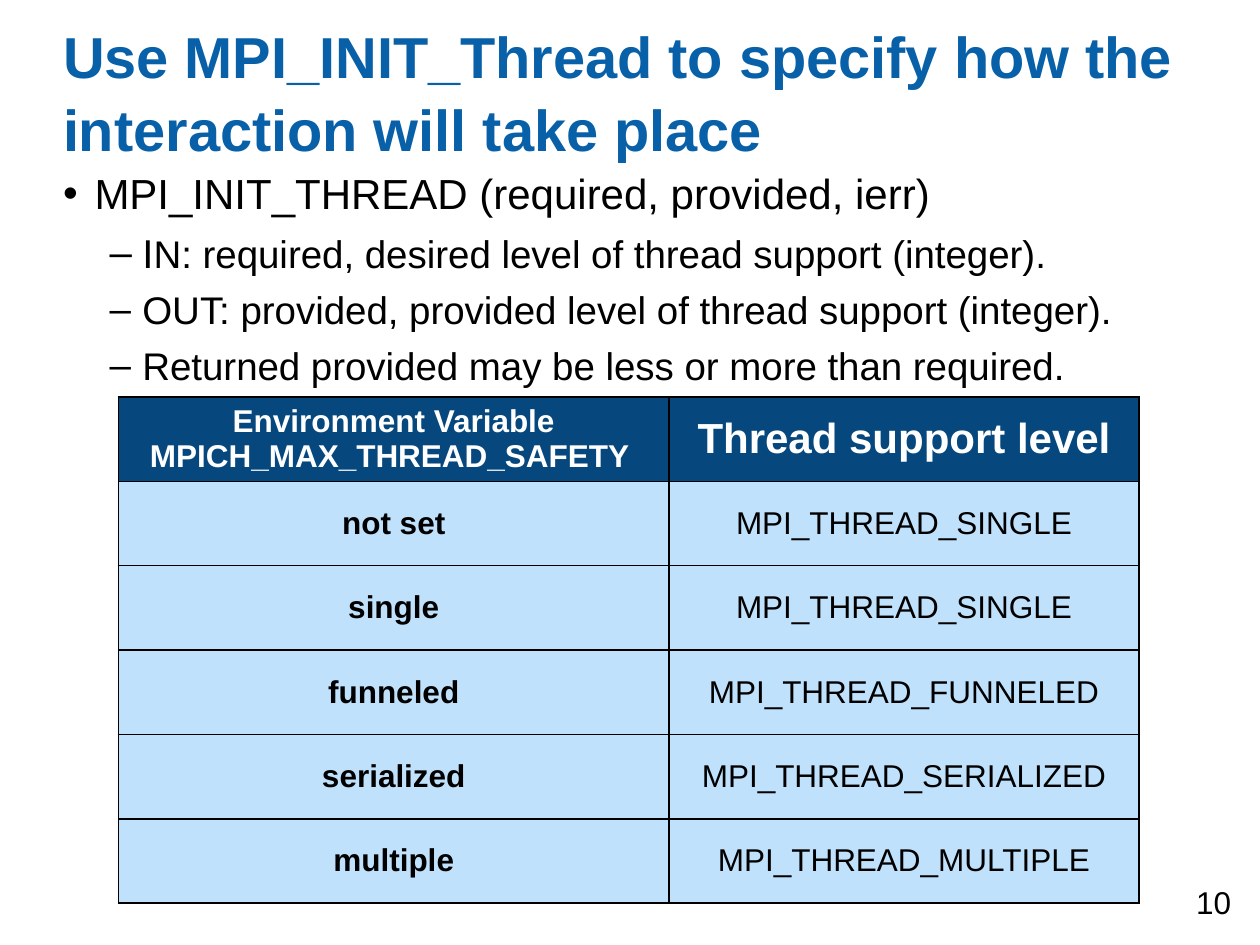
from dataclasses import dataclass

import pptx
import pptx.dml.color
import pptx.enum.text
import pptx.oxml
import pptx.oxml.ns
import pptx.util
from pptx.dml.color import RGBColor
from pptx.enum.text import MSO_ANCHOR, MSO_AUTO_SIZE, PP_ALIGN
from pptx.util import Inches

FONT = "Arial"
BLACK = RGBColor(0x00, 0x00, 0x00)
WHITE = RGBColor(0xFF, 0xFF, 0xFF)
TITLE_BLUE = RGBColor(0x08, 0x60, 0xA8)
HEADER_BLUE = RGBColor(0x06, 0x48, 0x7E)
CELL_BLUE = RGBColor(0xBF, 0xE1, 0xFC)
LINE_SPACING = 1.05


@dataclass(frozen=True)
class Bullet:
    pieces: tuple[tuple[str, float], ...]
    level: int = 1


@dataclass(frozen=True)
class SupportRow:
    variable: str
    support: str


BULLETS = (
    Bullet((("MPI_INIT_THREAD (required, provided, ierr)", 24),), level=0),
    Bullet((("I", 23), ("N: required, desired level of thread support (integer).", 22))),
    Bullet((("OUT: provided, provided level of thread support (integer).", 22),)),
    Bullet((("Returned provided may be less or more than required.", 22),)),
)
BULLET_STYLES = (("•", 0.25, -0.25), ("–", 0.63, -0.26))

HEADER = SupportRow("Environment Variable MPICH_MAX_THREAD_SAFETY ", "Thread support level")
SUPPORT_ROWS = (
    SupportRow("not set", "MPI_THREAD_SINGLE"),
    SupportRow("single", "MPI_THREAD_SINGLE"),
    SupportRow("funneled", "MPI_THREAD_FUNNELED"),
    SupportRow("serialized", "MPI_THREAD_SERIALIZED"),
    SupportRow("multiple", "MPI_THREAD_MULTIPLE"),
)
COLUMN_WIDTHS = (4.37, 3.73)
ROW_HEIGHT = 0.67


def format_run(run, size: float, color: RGBColor, bold: bool = False) -> None:
    run.font.name = FONT
    run.font.size = pptx.util.Pt(size)
    run.font.color.rgb = color
    run.font.bold = bold


def place(shape, left: float, top: float, width: float, height: float) -> None:
    shape.left, shape.top = Inches(left), Inches(top)
    shape.width, shape.height = Inches(width), Inches(height)
    frame = shape.text_frame
    frame.margin_left = frame.margin_right = frame.margin_top = frame.margin_bottom = 0
    frame.vertical_anchor = MSO_ANCHOR.TOP
    frame.word_wrap = True
    frame.auto_size = MSO_AUTO_SIZE.NONE


def fill_title(title) -> None:
    place(title, 0.5, 0.14, 9.01, 0.97)
    title.text_frame.text = "Use MPI_INIT_Thread to specify how the interaction will take place"
    paragraph = title.text_frame.paragraphs[0]
    paragraph.alignment = PP_ALIGN.LEFT
    paragraph.line_spacing = LINE_SPACING
    format_run(paragraph.runs[0], 33, TITLE_BLUE, bold=True)


def set_bullet(paragraph, level: int) -> None:
    character, margin, indent = BULLET_STYLES[level]
    paragraph.level = level
    properties = paragraph._p.get_or_add_pPr()
    properties.set("marL", str(Inches(margin)))
    properties.set("indent", str(Inches(indent)))
    properties.append(pptx.oxml.parse_xml(
        f'<a:buChar {pptx.oxml.ns.nsdecls("a")} char="{character}"/>'))


def fill_body(body) -> None:
    place(body, 0.5, 1.31, 9.01, 5.29)
    frame = body.text_frame
    for index, bullet in enumerate(BULLETS):
        paragraph = frame.paragraphs[0] if index == 0 else frame.add_paragraph()
        paragraph.line_spacing = LINE_SPACING
        paragraph.space_before = pptx.util.Pt(0.2 * bullet.pieces[-1][1])
        set_bullet(paragraph, bullet.level)
        for text, size in bullet.pieces:
            run = paragraph.add_run()
            run.text = text
            format_run(run, size, BLACK)


def set_borders(cell) -> None:
    properties = cell._tc.get_or_add_tcPr()
    for position, side in enumerate(("lnL", "lnR", "lnT", "lnB")):
        properties.insert(position, pptx.oxml.parse_xml(
            f'<a:{side} {pptx.oxml.ns.nsdecls("a")} w="{pptx.util.Pt(1)}">'
            f'<a:solidFill><a:srgbClr val="{BLACK}"/></a:solidFill></a:{side}>'))


def fill_cell(cell, text: str, size: float, color: RGBColor, bold: bool, fill: RGBColor) -> None:
    cell.fill.solid()
    cell.fill.fore_color.rgb = fill
    set_borders(cell)
    cell.vertical_anchor = MSO_ANCHOR.MIDDLE
    cell.text_frame.text = text
    paragraph = cell.text_frame.paragraphs[0]
    paragraph.alignment = PP_ALIGN.CENTER
    format_run(paragraph.runs[0], size, color, bold)


def add_support_table(slide) -> None:
    row_count = len(SUPPORT_ROWS) + 1
    table = slide.shapes.add_table(
        row_count, len(COLUMN_WIDTHS), Inches(0.94), Inches(3.15),
        Inches(sum(COLUMN_WIDTHS)), Inches(ROW_HEIGHT * row_count)).table
    for column, width in zip(table.columns, COLUMN_WIDTHS):
        column.width = Inches(width)
    for row in table.rows:
        row.height = Inches(ROW_HEIGHT)
    fill_cell(table.cell(0, 0), HEADER.variable, 18, WHITE, True, HEADER_BLUE)
    fill_cell(table.cell(0, 1), HEADER.support, 24, WHITE, True, HEADER_BLUE)
    for index, row in enumerate(SUPPORT_ROWS, start=1):
        fill_cell(table.cell(index, 0), row.variable, 18, BLACK, True, CELL_BLUE)
        fill_cell(table.cell(index, 1), row.support, 18, BLACK, False, CELL_BLUE)


def add_page_number(slide) -> None:
    box = slide.shapes.add_textbox(Inches(9.14), Inches(6.96), Inches(0.73), Inches(0.4))
    box.text_frame.word_wrap = True
    box.text_frame.text = "10"
    paragraph = box.text_frame.paragraphs[0]
    paragraph.alignment = PP_ALIGN.RIGHT
    format_run(paragraph.runs[0], 18, BLACK)


def main() -> None:
    presentation = pptx.Presentation()
    presentation.slide_width = Inches(10)
    presentation.slide_height = Inches(7.5)
    slide = presentation.slides.add_slide(presentation.slide_layouts[1])
    fill_title(slide.shapes.title)
    fill_body(slide.placeholders[1])
    add_support_table(slide)
    add_page_number(slide)
    presentation.save("out.pptx")


if __name__ == "__main__":
    main()
